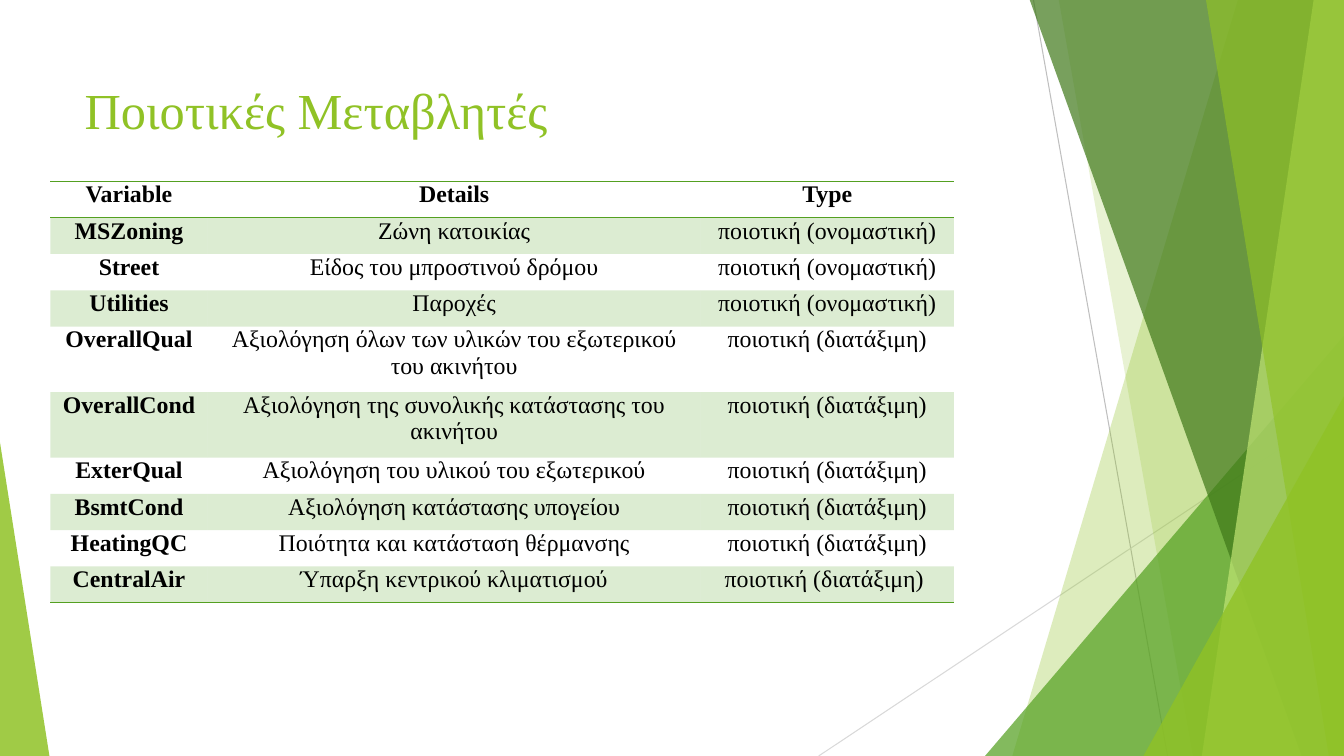
"""Build the slide that lists the qualitative variables of a housing data set."""
from lxml.etree import SubElement
from pptx import Presentation
from pptx.dml.color import RGBColor
from pptx.enum.shapes import MSO_CONNECTOR, MSO_SHAPE
from pptx.enum.text import MSO_ANCHOR, PP_ALIGN
from pptx.oxml.ns import qn
from pptx.util import Inches, Pt

TITLE = "Ποιοτικές Μεταβλητές"
NOMINAL = "ποιοτική (ονομαστική)"
ORDINAL = "ποιοτική (διατάξιμη)"
VARIABLES = [
    ("Variable", "Details", "Type"),
    ("MSZoning", "Ζώνη κατοικίας", NOMINAL),
    ("Street", "Είδος του μπροστινού δρόμου", NOMINAL),
    ("Utilities", "Παροχές", NOMINAL),
    ("OverallQual", "Αξιολόγηση όλων των υλικών του εξωτερικού του ακινήτου", ORDINAL),
    ("OverallCond", "Αξιολόγηση της συνολικής κατάστασης του ακινήτου", ORDINAL),
    ("ExterQual", "Αξιολόγηση του υλικού του εξωτερικού", ORDINAL),
    ("BsmtCond", "Αξιολόγηση κατάστασης υπογείου", ORDINAL),
    ("HeatingQC", "Ποιότητα και κατάσταση θέρμανσης", ORDINAL),
    ("CentralAir", "Ύπαρξη κεντρικού κλιματισμού", ORDINAL + " "),
]
COLUMN_WIDTHS = [1.56, 4.89, 2.51]
ROW_HEIGHT, TALL_HEIGHT = 0.36, 0.65
TALL_ROWS = ("OverallQual", "OverallCond")

COLORS = {
    "lime": "90C226",
    "green": "54A021",
    "forest": "3F7819",
    "pale": "C0E474",
    "gray": "BFBFBF",
    "mist": "D9D9D9",
    "black": "000000",
}
FONT = "Times New Roman"
WIDTH, HEIGHT = 13.33, 7.5
VEIL_TOP = -0.01

RAYS = [((10.25, 0), (11.58, HEIGHT), "gray"), ((WIDTH, 4.03), (8.12, HEIGHT), "mist")]
FACETS = [
    ("veil", (12.28, 10.04), "lime", 30),
    ("veil", (10.5, 11.83), "lime", 20),
    ("peak", (9.77, 3.33, 3.56, 1), "green", 72),
    ("veil", (10.21, 12.91), "forest", 70),
    ("veil", (13.03, 11.92), "pale", 70),
    ("veil", (11.96, 13.18), "lime", 65),
    ("peak", (11.34, 3.93, 1.99, 1), "lime", 80),
    ("peak", (0, 4.39, 0.49, 0), "lime", 85),
]


def rgb(color):
    return RGBColor.from_string(COLORS[color])


def paint(fill, holder, color, opacity):
    fill.solid()
    fill.fore_color.rgb = rgb(color)
    tint = holder.find(qn("a:solidFill")).find(qn("a:srgbClr"))
    SubElement(tint, qn("a:alpha"), val=str(opacity * 1000))


def write(frame, text, size, color, bold=False, align=PP_ALIGN.LEFT, spacing=0):
    paragraph = frame.paragraphs[0]
    paragraph.alignment = align
    paragraph.space_before = paragraph.space_after = Pt(spacing)
    run = paragraph.add_run()
    run.text = text
    run.font.name, run.font.size, run.font.bold = FONT, Pt(size), bold
    run.font.color.rgb = rgb(color)


def add_ray(slide, start, end, color):
    ray = slide.shapes.add_connector(
        MSO_CONNECTOR.STRAIGHT, *(Inches(value) for value in start + end))
    ray.line.color.rgb = rgb(color)
    ray.line.width = Pt(0.75)
    SubElement(ray.line._get_or_add_ln().getparent(), qn("a:effectLst"))


def add_facet(slide, kind, geometry, color, opacity):
    if kind == "veil":
        top_x, bottom_x = geometry
        outline = [(WIDTH, VEIL_TOP), (WIDTH, HEIGHT), (bottom_x, HEIGHT)]
        builder = slide.shapes.build_freeform(Inches(top_x), Inches(VEIL_TOP))
        builder.add_line_segments([(Inches(x), Inches(y)) for x, y in outline], close=True)
        facet = builder.convert_to_shape()
    else:
        left, top, width, apex = geometry
        facet = slide.shapes.add_shape(
            MSO_SHAPE.ISOSCELES_TRIANGLE, Inches(left), Inches(top),
            Inches(width), Inches(HEIGHT - top))
        facet.adjustments[0] = apex
    facet.shadow.inherit = False
    facet.line.fill.background()
    paint(facet.fill, facet._element.spPr, color, opacity)


def add_borders(properties, ruled_edges):
    for edge in ("L", "R", "T", "B"):
        border = SubElement(properties, qn(f"a:ln{edge}"), w=str(Pt(1)))
        if edge in ruled_edges:
            ink = SubElement(border, qn("a:solidFill"))
            SubElement(ink, qn("a:srgbClr"), val=COLORS["green"])
        else:
            SubElement(border, qn("a:noFill"))


def add_variables(slide):
    heights = [TALL_HEIGHT if row[0] in TALL_ROWS else ROW_HEIGHT for row in VARIABLES]
    table = slide.shapes.add_table(
        len(VARIABLES), len(COLUMN_WIDTHS), Inches(0.5), Inches(1.8),
        Inches(sum(COLUMN_WIDTHS)), Inches(sum(heights))).table
    table.first_row = table.horz_banding = False
    for column, width in zip(table.columns, COLUMN_WIDTHS):
        column.width = Inches(width)
    last = len(VARIABLES) - 1
    for r, (row, height) in enumerate(zip(VARIABLES, heights)):
        table.rows[r].height = Inches(height)
        edges = ("T" if r in (0, 1) else "") + ("B" if r in (0, last) else "")
        for c, text in enumerate(row):
            cell = table.cell(r, c)
            cell.margin_left = cell.margin_right = Inches(0.06)
            cell.margin_top = cell.margin_bottom = 0
            properties = cell._tc.get_or_add_tcPr()
            add_borders(properties, edges)
            if r % 2:
                paint(cell.fill, properties, "green", 20)
            else:
                cell.fill.background()
            write(cell.text_frame, text, 17, "black", bold=r == 0 or c == 0,
                  align=PP_ALIGN.CENTER, spacing=12)


def main():
    deck = Presentation()
    deck.slide_width, deck.slide_height = Inches(WIDTH), Inches(HEIGHT)
    slide = deck.slides.add_slide(deck.slide_layouts[6])
    for ray in RAYS:
        add_ray(slide, *ray)
    for facet in FACETS:
        add_facet(slide, *facet)
    heading = slide.shapes.add_textbox(
        Inches(0.74), Inches(0.67), Inches(9.4), Inches(0.83)).text_frame
    heading.word_wrap = True
    heading.vertical_anchor = MSO_ANCHOR.MIDDLE
    write(heading, TITLE, 36, "lime")
    add_variables(slide)
    deck.save("out.pptx")


if __name__ == "__main__":
    main()
